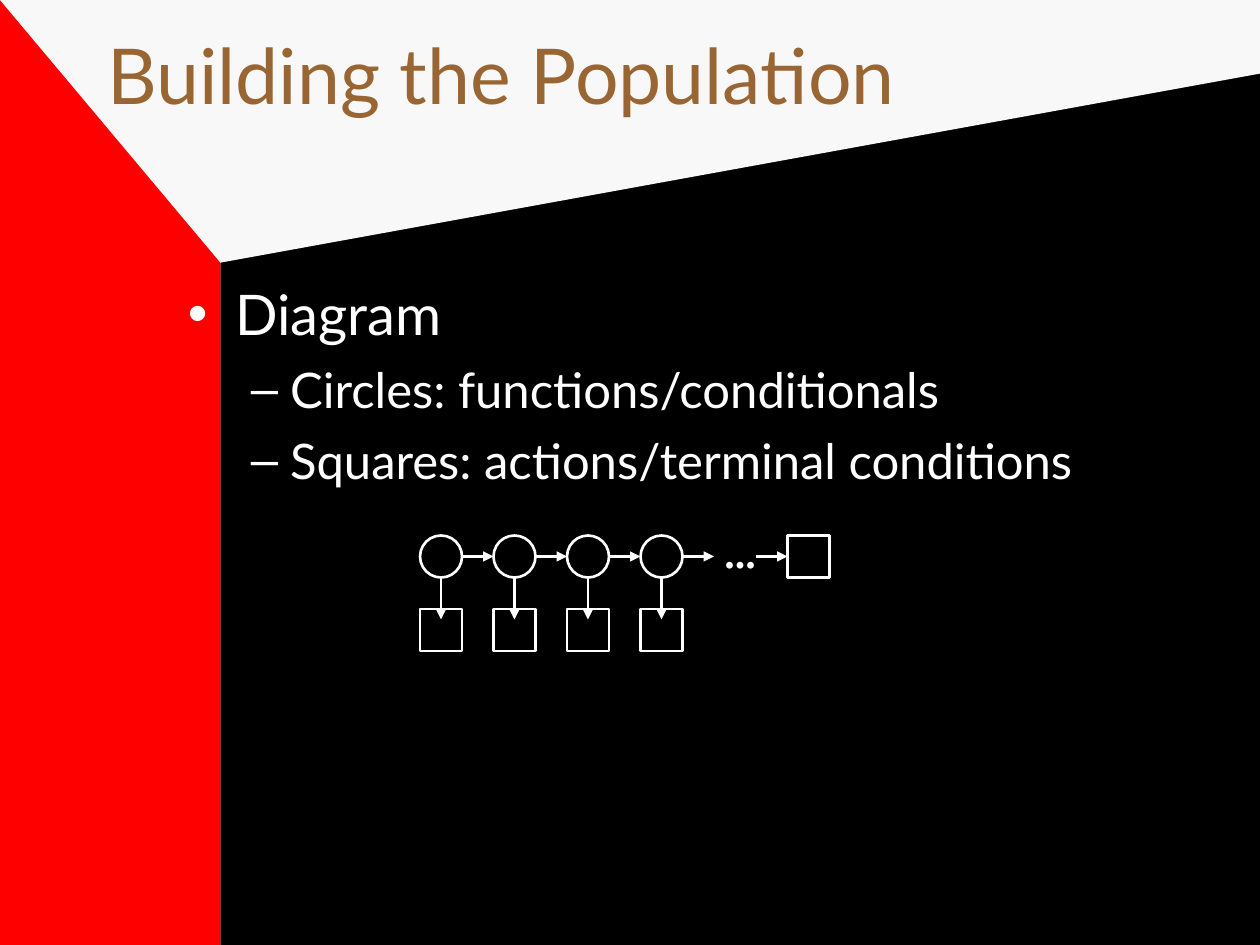
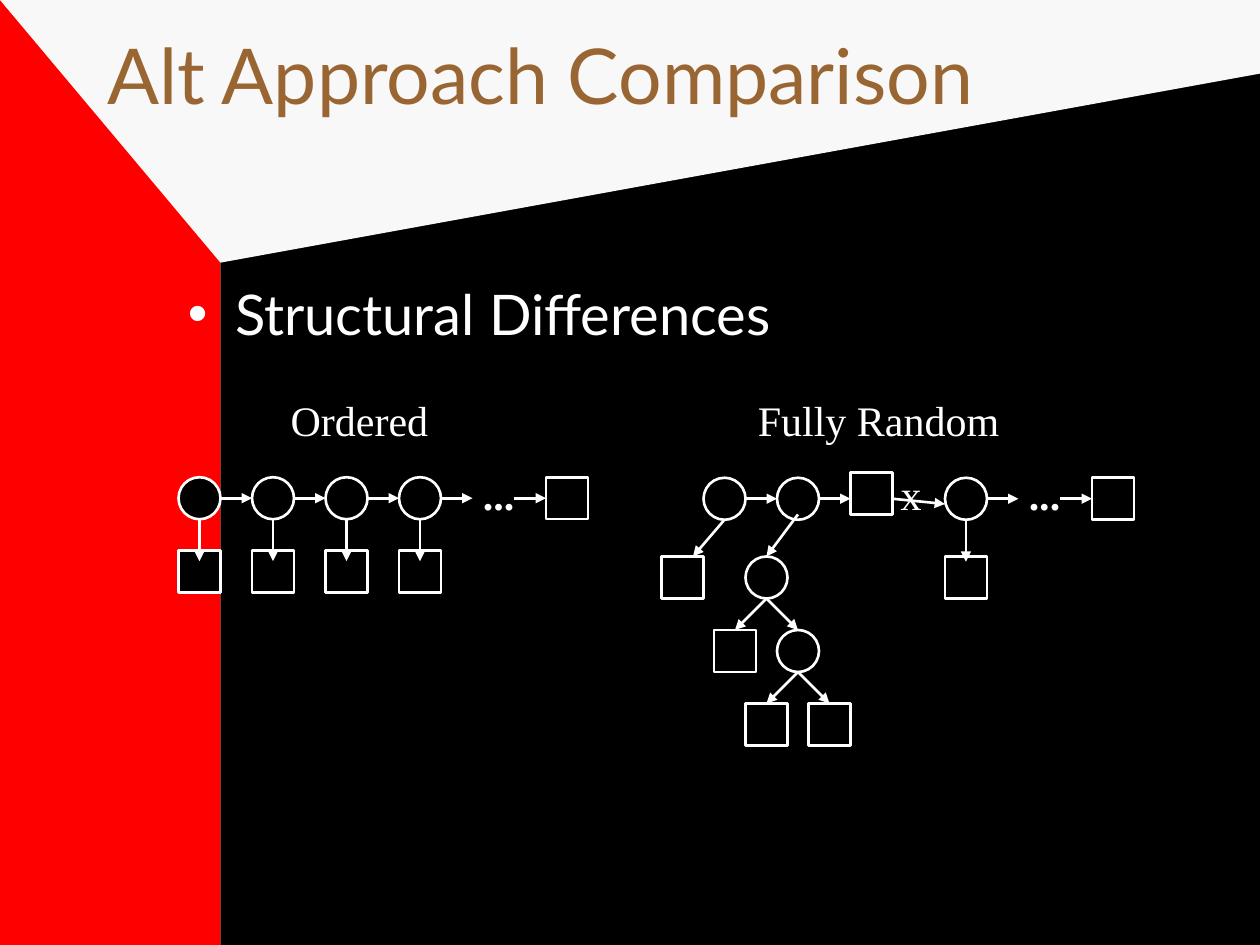
from lxml.etree import SubElement
from pptx import Presentation
from pptx.dml.color import RGBColor
from pptx.enum.shapes import MSO_CONNECTOR, MSO_SHAPE
from pptx.enum.text import MSO_ANCHOR, MSO_AUTO_SIZE, PP_ALIGN
from pptx.oxml.ns import qn
from pptx.util import Inches, Pt

WIDTH, HEIGHT = Inches(10), Inches(7.5)
BLACK, WHITE, RED = "000000", "FFFFFF", "FF0000"
PAPER, BROWN, GREY = "F8F8F8", "996633", "808080"
HEADING_FONT, LABEL_FONT = "Lato", "Times New Roman"
BODY_LEVELS = [{"size": 32, "before": 8}, {"size": 28, "before": 7}]

# Diagrams sit on a grid with twelve cells to the inch.
CELL = Inches(1) / 12
NODE = 4
STEP = 7
MIDDLE = NODE / 2
LABEL_RISE = -1.45
CIRCLE, SQUARE = MSO_SHAPE.OVAL, MSO_SHAPE.RECTANGLE


def rgb(hex_colour):
    return RGBColor.from_string(hex_colour)


def paint(shape, fill, line=None):
    shape.shadow.inherit = False
    shape.fill.solid()
    shape.fill.fore_color.rgb = rgb(fill)
    if line:
        shape.line.color.rgb = rgb(line)
        shape.line.width = Pt(1.5)
    else:
        shape.line.fill.background()


def write(paragraph, text, size, font=HEADING_FONT, colour=WHITE, bold=False,
          level=0, before=0):
    paragraph.text = text
    paragraph.level = level
    paragraph.alignment = PP_ALIGN.LEFT
    paragraph.space_before = Pt(before)
    paragraph.font.name = font
    paragraph.font.size = Pt(size)
    paragraph.font.bold = bold
    paragraph.font.color.rgb = rgb(colour)


def place(placeholder, left, top, width, height):
    """Move a placeholder and anchor its text at the top."""
    placeholder.left, placeholder.top = Inches(left), Inches(top)
    placeholder.width, placeholder.height = Inches(width), Inches(height)
    frame = placeholder.text_frame
    frame.auto_size = MSO_AUTO_SIZE.NONE
    frame.vertical_anchor = MSO_ANCHOR.TOP
    return frame


def add_titled_slide(prs, title, points, body_height):
    """Add a slide whose points are (level, text) pairs."""
    slide = prs.slides.add_slide(prs.slide_layouts[1])
    heading = place(slide.shapes.title, 0.75, 0.17, 8.5, 1.25)
    write(heading.paragraphs[0], title, size=44, colour=BROWN)
    body = place(slide.placeholders[1], 1.39, 2.17, 8.5, body_height)
    for index, (level, text) in enumerate(points):
        paragraph = body.add_paragraph() if index else body.paragraphs[0]
        spacing = {} if index else {"before": 0}
        write(paragraph, text, level=level, **{**BODY_LEVELS[level], **spacing})
    return slide


def add_backdrop(prs, slide):
    """Draw the three backdrop panels and move them to the slide master."""
    edge, corner = round(WIDTH * 0.175), round(HEIGHT * 0.278)
    panel = slide.shapes.add_shape(SQUARE, edge, 0, WIDTH - edge, HEIGHT)
    side = slide.shapes.add_shape(SQUARE, 0, 0, edge, HEIGHT)
    outline = slide.shapes.build_freeform(0, 0, scale=1.0)
    outline.add_line_segments(
        [(edge, corner), (WIDTH, round(HEIGHT * 0.078)), (WIDTH, 0)])
    banner = outline.convert_to_shape()
    master = prs.slide_master
    master.background.fill.solid()
    master.background.fill.fore_color.rgb = rgb(GREY)
    layers = [(panel, BLACK), (side, RED), (banner, PAPER)]
    for depth, (shape, colour) in enumerate(layers, start=2):
        paint(shape, colour)
        master.shapes.element.insert(depth, shape.element)


class Diagram:
    """Nodes, arrows and labels placed in cells from one origin."""

    def __init__(self, slide, column, row):
        self.shapes = slide.shapes
        self.column, self.row = column, row

    def point(self, x, y):
        return round((self.column + x) * CELL), round((self.row + y) * CELL)

    def node(self, kind, x, y):
        side = round(NODE * CELL)
        paint(self.shapes.add_shape(kind, *self.point(x, y), side, side),
              BLACK, WHITE)

    def arrow(self, start, end):
        link = self.shapes.add_connector(
            MSO_CONNECTOR.STRAIGHT, *self.point(*start), *self.point(*end))
        link.line.color.rgb = rgb(WHITE)
        link.line.width = Pt(1.5)
        SubElement(link.line._get_or_add_ln(), qn("a:tailEnd"), type="triangle")
        SubElement(link.element.spPr, qn("a:effectLst"))

    def label(self, text, x, y, width, bold=False):
        box = self.shapes.add_textbox(
            *self.point(x, y), round(width * CELL), round(6 * CELL))
        box.text_frame.word_wrap = False
        box.text_frame.auto_size = MSO_AUTO_SIZE.SHAPE_TO_FIT_TEXT
        write(box.text_frame.paragraphs[0], text, size=24, font=LABEL_FONT,
              bold=bold)

    def next_arrow(self, x):
        """Arrow from the node at x to the next place in the row."""
        self.arrow((x + NODE, MIDDLE), (x + STEP, MIDDLE))

    def branch(self, x, drop):
        """Circle with an action square straight below it."""
        self.node(CIRCLE, x, 0)
        self.node(SQUARE, x, drop)
        self.arrow((x + MIDDLE, NODE), (x + MIDDLE, 2 * NODE))
        self.next_arrow(x)

    def ending(self, x):
        """Ellipsis and closing square after the last circle, at x."""
        self.next_arrow(x + STEP)
        self.node(SQUARE, x + 2 * STEP, 0)
        self.label("...", x + 6.8, LABEL_RISE, 5.4, bold=True)

    def fork(self, x, y):
        """Circle with two arrows spreading out below it."""
        self.node(CIRCLE, x, y)
        foot = (x + MIDDLE, y + NODE)
        for spread in (-3, 3):
            self.arrow(foot, (foot[0] + spread, y + STEP))


def draw_ordered(diagram):
    for index in range(4):
        diagram.branch(index * STEP, drop=STEP)
    diagram.ending(3 * STEP)


def draw_random(diagram):
    second, third, last = STEP, 2 * STEP, 23
    tiers = [7.5 + STEP * tier for tier in range(3)]
    for x in (0, second):
        diagram.node(CIRCLE, x, 0)
        diagram.next_arrow(x)
    diagram.node(SQUARE, -4, tiers[0])
    diagram.arrow((2, 4), (-1, tiers[0]))
    diagram.arrow((9, 3.5), (6, tiers[0]))
    diagram.fork(4, tiers[0])
    diagram.node(SQUARE, 1, tiers[1])
    diagram.fork(7, tiers[1])
    for x in (4, 10):
        diagram.node(SQUARE, x, tiers[2])
    diagram.node(SQUARE, third, -0.5)
    diagram.arrow((third + NODE, MIDDLE), (last, 2.5))
    diagram.label("x", 17.6, LABEL_RISE, 4.5)
    diagram.branch(last, drop=tiers[0])
    diagram.ending(last)


def main():
    prs = Presentation()
    prs.slide_width, prs.slide_height = WIDTH, HEIGHT

    population = add_titled_slide(prs, "Building the Population", [
        (0, "Diagram"),
        (1, "Circles: functions/conditionals"),
        (1, "Squares: actions/terminal conditions"),
    ], body_height=4.5)
    add_backdrop(prs, population)
    draw_ordered(Diagram(population, 40, 51))

    comparison = add_titled_slide(
        prs, "Alt Approach Comparison", [(0, "Structural Differences")],
        body_height=0.83)
    ordered = Diagram(comparison, 17, 45.45)
    draw_ordered(ordered)
    ordered.label("Ordered", 9.5, -8.45, 15.6)
    fully_random = Diagram(comparison, 67, 45.5)
    draw_random(fully_random)
    fully_random.label("Fully Random", 4, -8.5, 26)

    prs.save("out.pptx")


if __name__ == "__main__":
    main()
